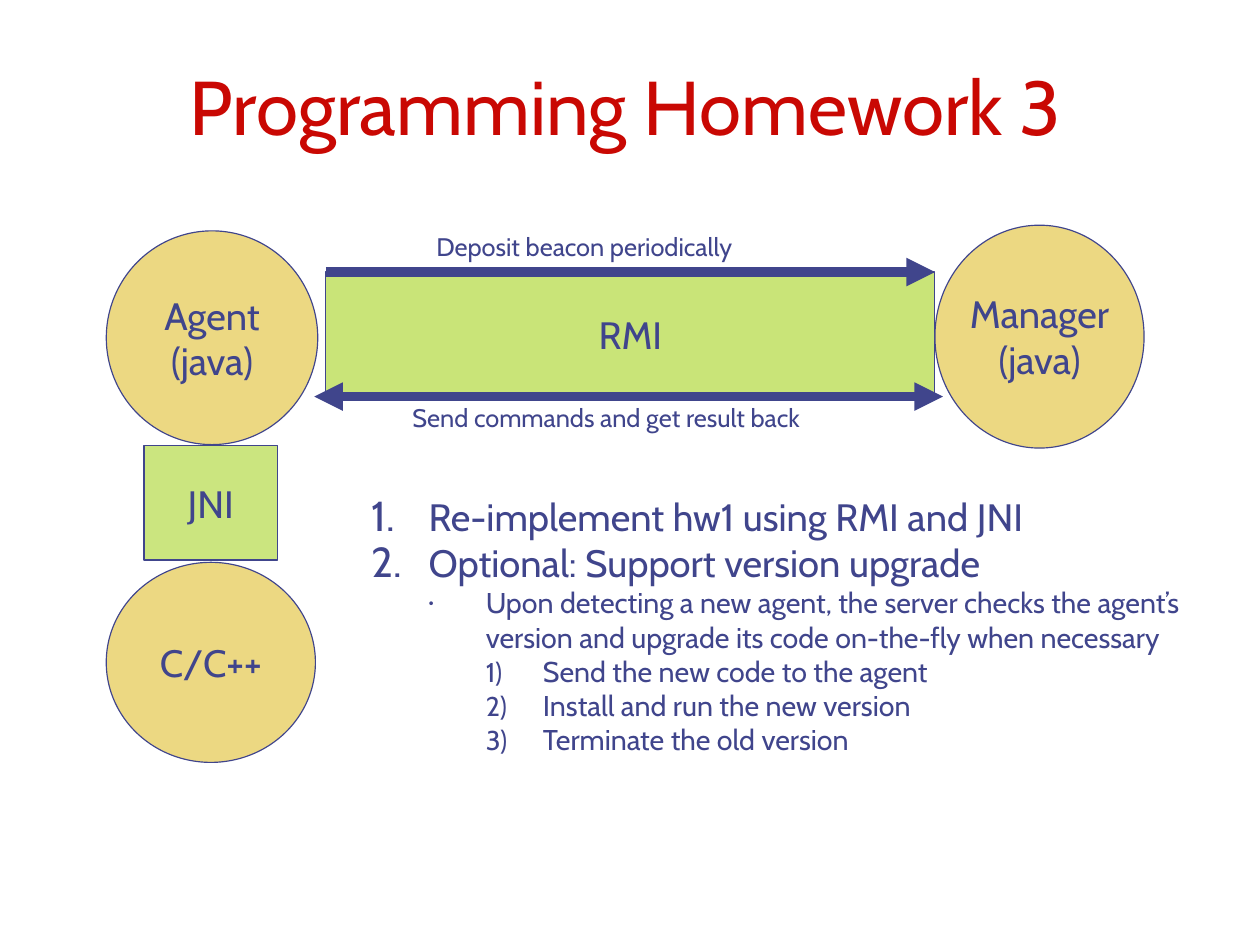
from lxml import etree
from pptx import Presentation
from pptx.dml.color import RGBColor
from pptx.enum.shapes import MSO_CONNECTOR, MSO_SHAPE
from pptx.enum.text import MSO_ANCHOR, MSO_AUTO_SIZE, PP_ALIGN
from pptx.oxml.ns import qn
from pptx.util import Inches, Pt

CM_PER_INCH = 2.54
FONT = "Cabin"
INDIGO = RGBColor(0x40, 0x45, 0x8C)
RED = RGBColor(0xC9, 0x08, 0x03)
SAND = RGBColor(0xEC, 0xD8, 0x82)
LIME = RGBColor(0x99, 0xCC, 0x00)

# Marker for each list level: tag, attributes, size in percent
MARKERS = [
    ("a:buAutoNum", {"type": "arabicPeriod"}, 110),
    ("a:buChar", {"char": "•"}, 60),
    ("a:buAutoNum", {"type": "arabicParenR"}, 95),
]

TASKS = [
    (0, 24, "Re-implement hw1 using RMI and JNI"),
    (0, 24, "Optional: Support version upgrade"),
    (1, 18, "Upon detecting a new agent, the server checks the agent’s "
            "version and upgrade its code on-the-fly when necessary"),
    (2, 18, "Send the new code to the agent"),
    (2, 18, "Install and run the new version"),
    (2, 18, "Terminate the old version"),
]


def add_run(paragraph, text, size, color=INDIGO):
    run = paragraph.add_run()
    run.text = text
    run.font.name = FONT
    run.font.size = Pt(size)
    run.font.color.rgb = color


def place(shape, left, top, width, height):
    shape.left, shape.top = Inches(left), Inches(top)
    shape.width, shape.height = Inches(width), Inches(height)


def set_title(title, text):
    place(title, 0.79, 0.33, 9.37, 1.17)
    frame = title.text_frame
    frame.auto_size = MSO_AUTO_SIZE.NONE
    frame.vertical_anchor = MSO_ANCHOR.MIDDLE
    frame.margin_left = frame.margin_right = 0
    frame.margin_top = frame.margin_bottom = 0
    frame.paragraphs[0].alignment = PP_ALIGN.CENTER
    add_run(frame.paragraphs[0], text, 48, RED)


def add_marker(paragraph, level):
    tag, attributes, percent = MARKERS[level]
    properties = paragraph._p.get_or_add_pPr()
    properties.set("marL", str(Inches(0.5 * (level + 1))))
    properties.set("indent", str(-Inches(0.5)))
    color = etree.SubElement(properties, qn("a:buClr"))
    etree.SubElement(color, qn("a:srgbClr"), val=str(INDIGO))
    etree.SubElement(properties, qn("a:buSzPct"), val=str(percent * 1000))
    etree.SubElement(properties, qn("a:buFont"), typeface=FONT)
    etree.SubElement(properties, qn(tag), attributes)


def set_tasks(body, tasks):
    place(body, 3.15, 4.27, 7.28, 2.7)
    frame = body.text_frame
    frame.auto_size = MSO_AUTO_SIZE.NONE
    frame.vertical_anchor = MSO_ANCHOR.TOP
    for index, (level, size, text) in enumerate(tasks):
        paragraph = frame.add_paragraph() if index else frame.paragraphs[0]
        paragraph.level = level
        paragraph.space_before = Pt(0)
        add_marker(paragraph, level)
        add_run(paragraph, text, size)


def add_node(slide, kind, box, lines, fill, opacity=100):
    node = slide.shapes.add_shape(kind, *map(Inches, box))
    node.shadow.inherit = False
    node.fill.solid()
    node.fill.fore_color.rgb = fill
    if opacity < 100:
        color = node._element.spPr.find(qn("a:solidFill"))[0]
        etree.SubElement(color, qn("a:alpha"), val=str(opacity * 1000))
    node.line.color.rgb = INDIGO
    node.line.width = Pt(0.75)
    frame = node.text_frame
    frame.word_wrap = False
    frame.vertical_anchor = MSO_ANCHOR.MIDDLE
    for index, line in enumerate(lines):
        paragraph = frame.add_paragraph() if index else frame.paragraphs[0]
        paragraph.alignment = PP_ALIGN.CENTER
        add_run(paragraph, line, 24)


def add_arrow(slide, start, end, y, ends):
    arrow = slide.shapes.add_connector(
        MSO_CONNECTOR.STRAIGHT, Inches(start), Inches(y), Inches(end), Inches(y))
    arrow.line.color.rgb = INDIGO
    arrow.line.width = Pt(6)
    outline = arrow._element.spPr.find(qn("a:ln"))
    for end_tag in ends:
        etree.SubElement(outline, qn(end_tag), type="triangle")
    etree.SubElement(arrow._element.spPr, qn("a:effectLst"))


def add_label(slide, left, top, width, height, text):
    label = slide.shapes.add_textbox(*map(Inches, (left, top, width, height)))
    label.text_frame.word_wrap = True
    add_run(label.text_frame.paragraphs[0], text, 16)


def main():
    presentation = Presentation()
    presentation.slide_width = Inches(28 / CM_PER_INCH)
    presentation.slide_height = Inches(21 / CM_PER_INCH)
    slide = presentation.slides.add_slide(presentation.slide_layouts[1])

    set_title(slide.shapes.title, "Programming Homework 3")
    set_tasks(slide.placeholders[1], TASKS)

    add_node(slide, MSO_SHAPE.RECTANGLE, (2.85, 2.38, 5.33, 1.08), ["RMI"], LIME, 53)
    add_node(slide, MSO_SHAPE.OVAL, (8.18, 1.97, 1.83, 1.95), ["Manager", "(java)"], SAND)
    add_arrow(slide, 2.85, 8.18, 2.38, ["a:tailEnd"])
    add_label(slide, 3.72, 1.97, 3.07, 0.37, "Deposit beacon periodically")
    add_arrow(slide, 8.25, 2.75, 3.47, ["a:headEnd", "a:tailEnd"])
    add_node(slide, MSO_SHAPE.OVAL, (0.93, 2.02, 1.85, 1.87), ["Agent", "(java)"], SAND)
    add_label(slide, 3.51, 3.47, 3.92, 0.64, "Send commands and get result back")
    add_node(slide, MSO_SHAPE.RECTANGLE, (1.26, 3.9, 1.17, 1), ["JNI"], LIME, 50)
    add_node(slide, MSO_SHAPE.OVAL, (0.93, 4.92, 1.83, 1.75), ["C/C++"], SAND)

    presentation.save("out.pptx")


if __name__ == "__main__":
    main()
